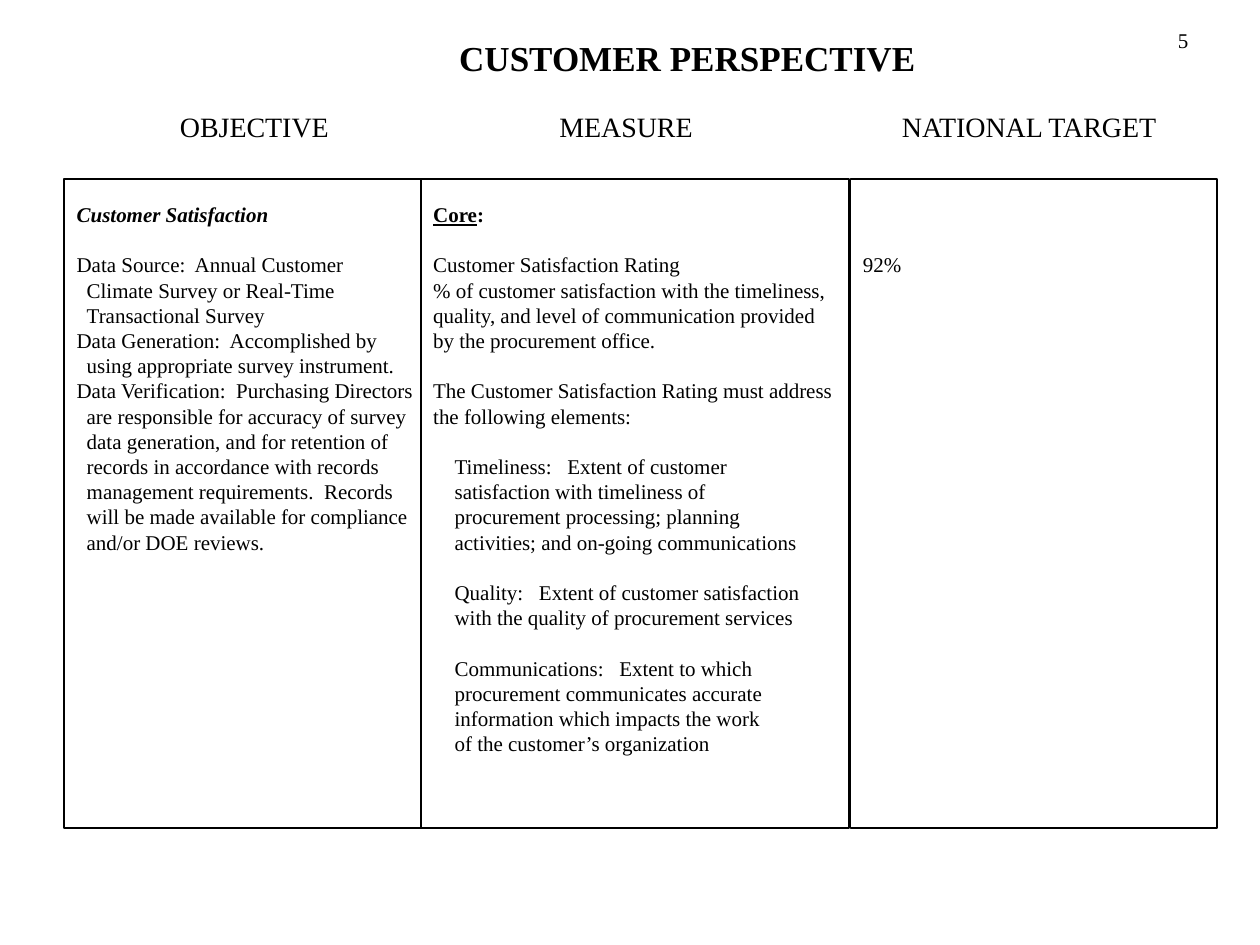
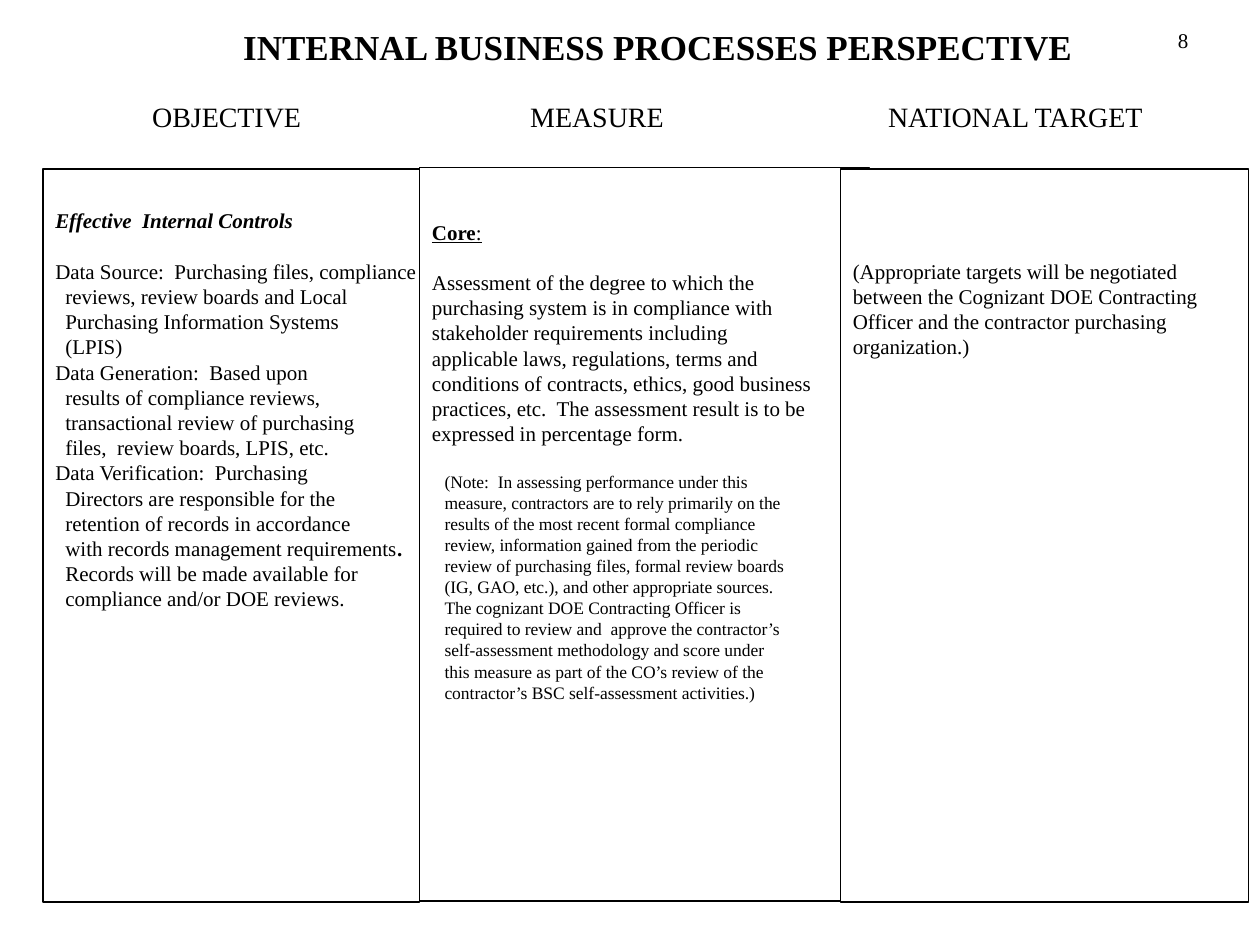
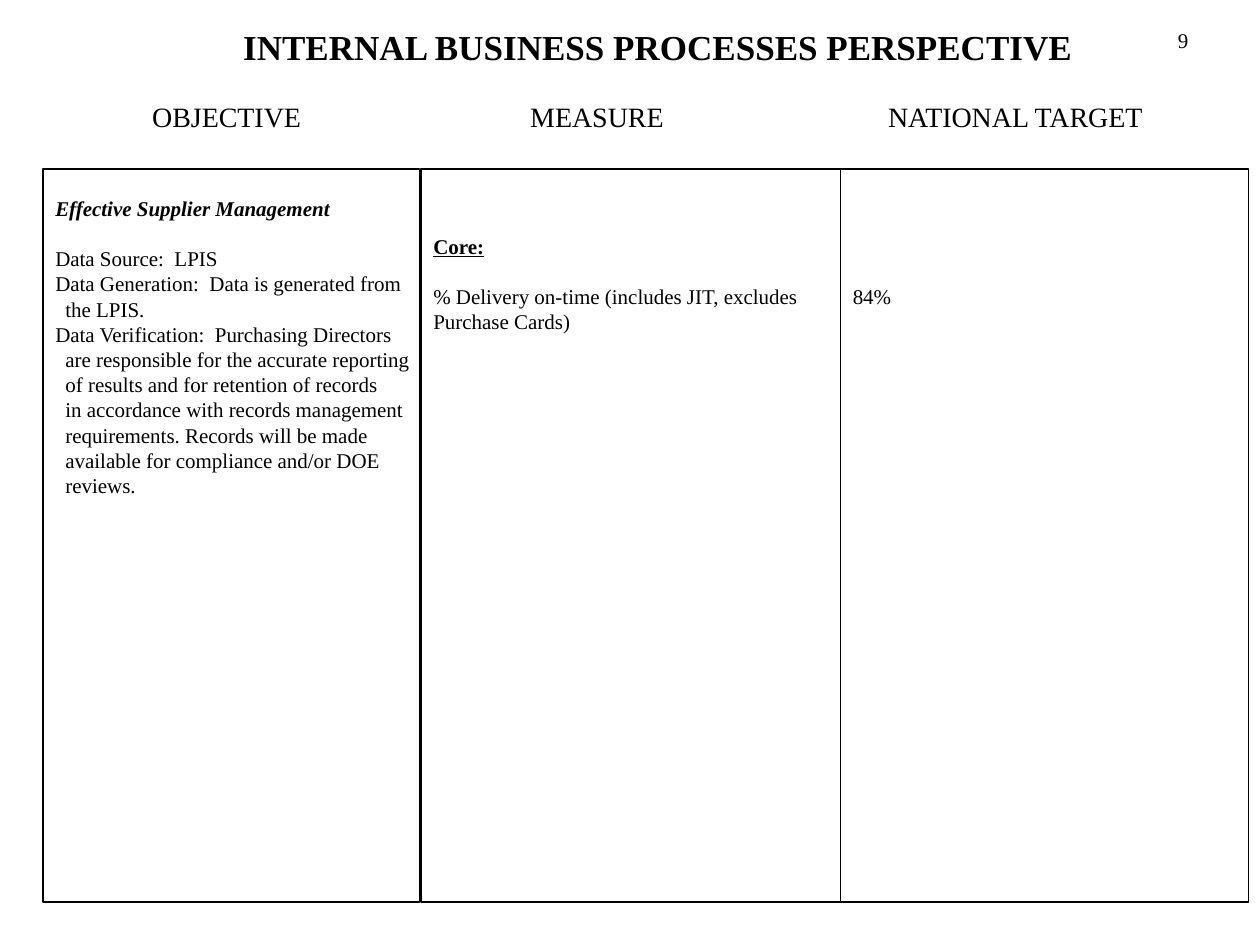
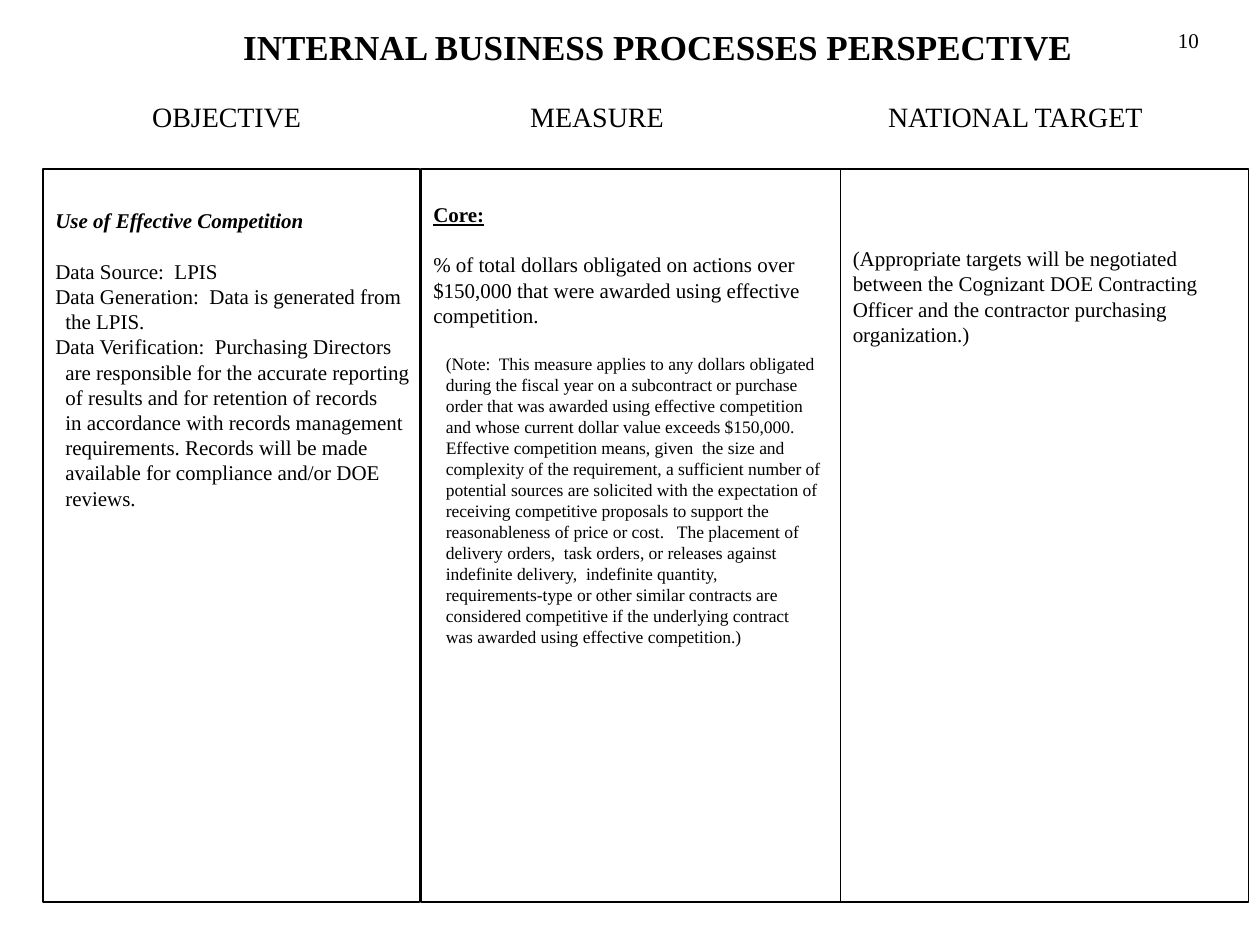
from pptx import Presentation
from pptx.dml.color import RGBColor
from pptx.enum.shapes import MSO_SHAPE as Shape
from pptx.enum.text import MSO_ANCHOR as Anchor, MSO_AUTO_SIZE as AutoSize, PP_ALIGN as Align
from pptx.oxml.ns import qn
from pptx.util import Inches, Pt
from lxml import etree

BLACK = RGBColor(0x00, 0x00, 0x00)
WHITE = RGBColor(0xFF, 0xFF, 0xFF)
FONT = "Times New Roman"
HEADINGS = ("OBJECTIVE", "MEASURE", "NATIONAL TARGET")
TITLE_SIZE, HEADING_SIZE, BODY_SIZE, NOTE_SIZE = 20, 16, 12, 10
BLANK_LINE = 14.4  # points between blocks

# kind of block: size in points, indent of first line and of the others in inches
KINDS = {
    "text": (BODY_SIZE, 0, 0),
    "source": (BODY_SIZE, 0, 0.08),
    "element": (BODY_SIZE, 0.17, 0.17),
    "note": (NOTE_SIZE, 0.1, 0.1),
}

INTERNAL = "INTERNAL BUSINESS PROCESSES PERSPECTIVE"
CORE = ("text", ("Core:", "bu"))
NEGOTIATED = [
    ("text", ("(Appropriate targets will be negotiated\n"
              "between the Cognizant DOE Contracting\n"
              "Officer and the contractor purchasing\n"
              "organization.)", "")),
]
LPIS_SOURCES = [
    ("source", ("Data Source:  LPIS", "")),
    ("source", ("Data Generation:  Data is generated from\n"
                "the LPIS.", "")),
    ("source", ("Data Verification:  Purchasing Directors\n"
                "are responsible for the accurate reporting\n"
                "of results and for retention of records\n"
                "in accordance with records management\n"
                "requirements. Records will be made\n"
                "available for compliance and/or DOE\n"
                "reviews.", "")),
]

# Column frames: left, top, width, height in inches
CUSTOMER_FRAMES = [(0.51, 1.42, 2.99, 5.15), (3.34, 1.42, 3.4, 5.15), (6.75, 1.42, 2.91, 5.15)]
INTERNAL_FRAMES = [(0.34, 1.34, 2.99, 5.82), (3.34, 1.34, 3.49, 5.82), (6.67, 1.34, 3.24, 5.82)]
CONTROLS_FRAMES = [INTERNAL_FRAMES[0], (3.33, 1.33, 3.57, 5.82), INTERNAL_FRAMES[2]]

CUSTOMER_STYLE = {
    "title": (2.57, 0.24, 5.77, 0.43), "align": Align.CENTER,
    "headings": (0.55, 0.82, 9.12, 0.36), "tabs": (0.78, 3.79, 6.51),
}
INTERNAL_STYLE = {
    "title": (1.83, 0.15, 7, 0.43), "align": Align.LEFT,
    "headings": (0.55, 0.74, 9.29, 0.36), "tabs": (0.56, 3.56, 6.4),
}

# Each column is (inches from frame top to first line, blocks);
# each block is (kind, (text, marks), ...) with marks b, i, u.
PAGES = [
    {
        "number": 5, "title": "CUSTOMER PERSPECTIVE",
        "style": CUSTOMER_STYLE, "frames": CUSTOMER_FRAMES,
        "columns": [
            (0.18, [
                ("text", ("Customer Satisfaction", "bi")),
                ("source", ("Data Source:  Annual Customer\n"
                            "Climate Survey or Real-Time\n"
                            "Transactional Survey", "")),
                ("source", ("Data Generation:  Accomplished by\n"
                            "using appropriate survey instrument.", "")),
                ("source", ("Data Verification:  Purchasing Directors\n"
                            "are responsible for accuracy of survey\n"
                            "data generation, and for retention of\n"
                            "records in accordance with records\n"
                            "management requirements.  Records\n"
                            "will be made available for compliance\n"
                            "and/or DOE reviews.", "")),
            ]),
            (0.18, [
                ("text", ("Core", "bu"), (":", "b")),
                ("text", ("Customer Satisfaction Rating\n"
                          "% of customer satisfaction with the timeliness,\n"
                          "quality, and level of communication provided\n"
                          "by the procurement office.", "")),
                ("text", ("The Customer Satisfaction Rating must address\n"
                          "the following elements:", "")),
                ("element", ("Timeliness:   Extent of customer\n"
                             "satisfaction with timeliness of\n"
                             "procurement processing; planning\n"
                             "activities; and on-going communications", "")),
                ("element", ("Quality:   Extent of customer satisfaction\n"
                             "with the quality of procurement services", "")),
                ("element", ("Communications:   Extent to which\n"
                             "procurement communicates accurate\n"
                             "information which impacts the work\n"
                             "of the customer’s organization", "")),
            ]),
            (0.58, [("text", ("92%", ""))]),
        ],
    },
    {
        "number": 8, "title": INTERNAL,
        "style": INTERNAL_STYLE, "frames": CONTROLS_FRAMES,
        "columns": [
            (0.31, [
                ("text", ("Effective  Internal Controls", "bi")),
                ("source", ("Data Source:  Purchasing files, compliance\n"
                            "reviews, review boards and Local\n"
                            "Purchasing Information Systems\n"
                            "(LPIS)", "")),
                ("source", ("Data Generation:  Based upon\n"
                            "results of compliance reviews,\n"
                            "transactional review of purchasing\n"
                            "files,  review boards, LPIS, etc.", "")),
                ("source", ("Data Verification:  Purchasing\n"
                            "Directors are responsible for the\n"
                            "retention of records in accordance\n"
                            "with records management requirements", ""),
                 (".", "b"),
                 ("\nRecords will be made available for\n"
                  "compliance and/or DOE reviews.", "")),
            ]),
            (0.41, [
                ("text", ("Core", "bu"), (":", "u")),
                ("text", ("Assessment of the degree to which the\n"
                          "purchasing system is in compliance with\n"
                          "stakeholder requirements including\n"
                          "applicable laws, regulations, terms and\n"
                          "conditions of contracts, ethics, good business\n"
                          "practices, etc.  The assessment result is to be\n"
                          "expressed in percentage form.", "")),
                ("note", ("(Note:  In assessing performance under this\n"
                          "measure, contractors are to rely primarily on the\n"
                          "results of the most recent formal compliance\n"
                          "review, information gained from the periodic\n"
                          "review of purchasing files, formal review boards\n"
                          "(IG, GAO, etc.), and other appropriate sources.\n"
                          "The cognizant DOE Contracting Officer is\n"
                          "required to review and  approve the contractor’s\n"
                          "self-assessment methodology and score under\n"
                          "this measure as part of the CO’s review of the\n"
                          "contractor’s BSC self-assessment activities.)", "")),
            ]),
            (0.71, NEGOTIATED),
        ],
    },
    {
        "number": 9, "title": INTERNAL,
        "style": INTERNAL_STYLE, "frames": INTERNAL_FRAMES,
        "columns": [
            (0.21, [("text", ("Effective Supplier Management", "bi")), *LPIS_SOURCES]),
            (0.51, [
                CORE,
                ("text", ("% Delivery on-time (includes JIT, excludes\n"
                          "Purchase Cards)", "")),
            ]),
            (0.91, [("text", ("84%", ""))]),
        ],
    },
    {
        "number": 10, "title": INTERNAL,
        "style": INTERNAL_STYLE, "frames": INTERNAL_FRAMES,
        "columns": [
            (0.31, [("text", ("Use of Effective Competition", "bi")), *LPIS_SOURCES]),
            (0.26, [
                CORE,
                ("text", ("% of total dollars obligated on actions over\n"
                          "$150,000 that were awarded using effective\n"
                          "competition.", "")),
                ("note", ("(Note:  This measure applies to any dollars obligated\n"
                          "during the fiscal year on a subcontract or purchase\n"
                          "order that was awarded using effective competition\n"
                          "and whose current dollar value exceeds $150,000.\n"
                          "Effective competition means, given  the size and\n"
                          "complexity of the requirement, a sufficient number of\n"
                          "potential sources are solicited with the expectation of\n"
                          "receiving competitive proposals to support the\n"
                          "reasonableness of price or cost.   The placement of\n"
                          "delivery orders,  task orders, or releases against\n"
                          "indefinite delivery,  indefinite quantity,\n"
                          "requirements-type or other similar contracts are\n"
                          "considered competitive if the underlying contract\n"
                          "was awarded using effective competition.)", "")),
            ]),
            (0.61, NEGOTIATED),
        ],
    },
]


def place(frame):
    return [Inches(length) for length in frame]


def add_span(para, text, size, marks=""):
    span = para.add_run()
    span.text = text
    font = span.font
    font.name, font.size, font.color.rgb = FONT, Pt(size), BLACK
    font.bold, font.italic, font.underline = ("b" in marks, "i" in marks, "u" in marks)


def add_line(text_frame, indent, is_first):
    """Return a left-aligned paragraph, using the empty one for the first line."""
    para = text_frame.paragraphs[0] if is_first else text_frame.add_paragraph()
    para.alignment = Align.LEFT
    para._p.get_or_add_pPr().set("marL", str(Inches(indent)))
    return para


def add_blocks(text_frame, blocks):
    """Write blocks a blank line apart, but keep neighbouring sources together."""
    previous = None
    for kind, *spans in blocks:
        size, first_indent, other_indent = KINDS[kind]
        para = add_line(text_frame, first_indent, previous is None)
        if previous and (kind, previous) != ("source", "source"):
            para.space_before = Pt(BLANK_LINE)
        for text, marks in spans:
            for index, line in enumerate(text.split("\n")):
                if index:
                    para = add_line(text_frame, other_indent, False)
                if line:
                    add_span(para, line, size, marks)
        previous = kind


def add_column(page, frame, drop, blocks):
    box = page.shapes.add_shape(Shape.RECTANGLE, *place(frame))
    box.shadow.inherit = False
    box.fill.solid()
    box.fill.fore_color.rgb = WHITE
    box.line.color.rgb = BLACK
    box.line.width = Pt(1)
    text_frame = box.text_frame
    text_frame.word_wrap = True
    text_frame.vertical_anchor = Anchor.TOP
    text_frame.margin_left, text_frame.margin_right = Inches(0.1), 0
    text_frame.margin_top, text_frame.margin_bottom = Inches(drop), 0
    add_blocks(text_frame, blocks)


def add_title(page, text, style):
    title = page.shapes.title
    title.left, title.top, title.width, title.height = place(style["title"])
    text_frame = title.text_frame
    text_frame.auto_size = AutoSize.NONE
    text_frame.vertical_anchor = Anchor.TOP
    para = text_frame.paragraphs[0]
    para.alignment = style["align"]
    add_span(para, text, TITLE_SIZE, "b")


def add_headings(page, style):
    box = page.shapes.add_textbox(*place(style["headings"]))
    box.text_frame.word_wrap = True
    para = box.text_frame.paragraphs[0]
    tabs = etree.SubElement(para._p.get_or_add_pPr(), qn("a:tabLst"))
    for position in style["tabs"]:
        etree.SubElement(tabs, qn("a:tab"), pos=str(Inches(position)), algn="l")
    for heading in HEADINGS:
        add_span(para, "\t" + heading, HEADING_SIZE)


def add_page_number(page, number):
    width = 0.33 if number < 10 else 0.42
    box = page.shapes.add_textbox(*place((9.25, 0.17, width, 0.3)))
    add_span(box.text_frame.paragraphs[0], str(number), BODY_SIZE)


def main():
    deck = Presentation()
    deck.slide_width, deck.slide_height = Inches(10), Inches(7.5)
    title_only = deck.slide_layouts.get_by_name("Title Only")
    for content in PAGES:
        page = deck.slides.add_slide(title_only)
        for frame, (drop, blocks) in zip(content["frames"], content["columns"]):
            add_column(page, frame, drop, blocks)
        add_title(page, content["title"], content["style"])
        add_headings(page, content["style"])
        add_page_number(page, content["number"])
    deck.save("out.pptx")


if __name__ == "__main__":
    main()
